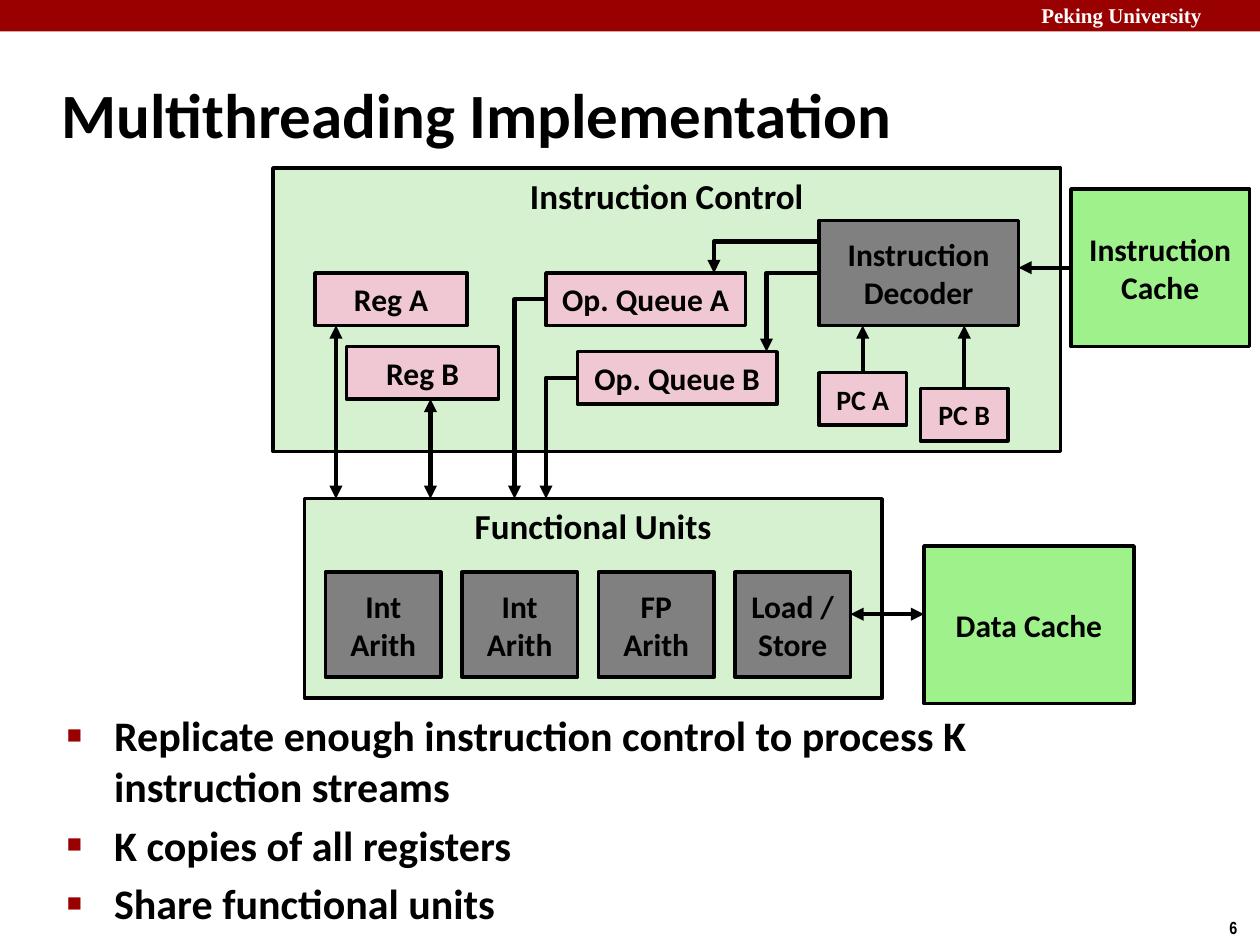
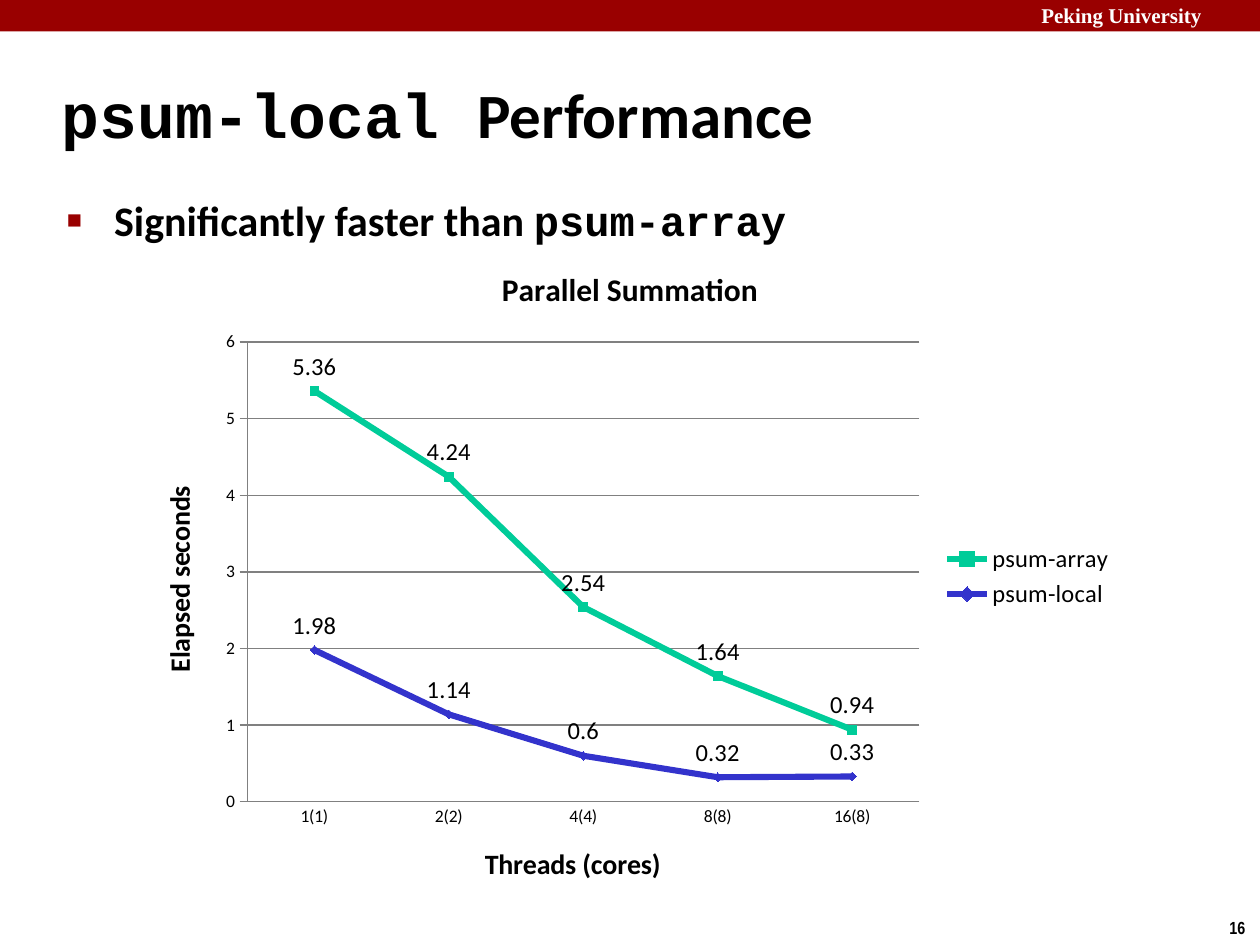
"""Build two slides on multithreading and on the speed of parallel sums."""
from lxml import etree
from pptx import Presentation
from pptx.chart.data import CategoryChartData
from pptx.dml.color import RGBColor
from pptx.enum.chart import (XL_CHART_TYPE, XL_LABEL_POSITION, XL_LEGEND_POSITION,
                             XL_MARKER_STYLE, XL_TICK_MARK)
from pptx.enum.shapes import MSO_CONNECTOR, MSO_SHAPE
from pptx.enum.text import MSO_ANCHOR, MSO_AUTO_SIZE, PP_ALIGN
from pptx.oxml.ns import qn
from pptx.util import Pt

RECT = MSO_SHAPE.RECTANGLE
STRAIGHT, ELBOW = MSO_CONNECTOR.STRAIGHT, MSO_CONNECTOR.ELBOW
LEFT, CENTER = PP_ALIGN.LEFT, PP_ALIGN.CENTER
TOP, MIDDLE = MSO_ANCHOR.TOP, MSO_ANCHOR.MIDDLE
NO_FIT = MSO_AUTO_SIZE.NONE
LINES = XL_CHART_TYPE.LINE_MARKERS
ABOVE = XL_LABEL_POSITION.ABOVE
RIGHT = XL_LEGEND_POSITION.RIGHT
SQUARE, DIAMOND = XL_MARKER_STYLE.SQUARE, XL_MARKER_STYLE.DIAMOND
NO_TICK, OUT_TICK = XL_TICK_MARK.NONE, XL_TICK_MARK.OUTSIDE

BLACK = RGBColor(0x00, 0x00, 0x00)
WHITE = RGBColor(0xFF, 0xFF, 0xFF)
RED = RGBColor(0x99, 0x00, 0x00)
PALE = RGBColor(0xD5, 0xF1, 0xCF)
GREEN = RGBColor(0x9E, 0xF1, 0x8B)
PINK = RGBColor(0xF0, 0xC8, 0xD3)
GRAY = RGBColor(0x80, 0x80, 0x80)
TEAL = RGBColor(0x00, 0xCC, 0x99)
BLUE = RGBColor(0x33, 0x33, 0xCC)

SANS, CODE = "Calibri", "Courier New"
SERIF, NARROW = "Times New Roman", "Arial Narrow"


def place(shape, left, top, width, height):
    """Move and size a shape, in points."""
    shape.left, shape.top = Pt(left), Pt(top)
    shape.width, shape.height = Pt(width), Pt(height)


def style(font, size, name=SANS, color=BLACK, bold=True):
    """Set the look of a font."""
    font.name, font.size, font.bold = name, Pt(size), bold
    font.color.rgb = color


def write(para, runs, size, color=BLACK):
    """Add (text, font name) runs to a paragraph."""
    for text, name in runs:
        run = para.add_run()
        run.text = text
        style(run.font, size, name, color)


def label(slide, text, spot, size, name, color):
    """Add a one-line text box."""
    box = slide.shapes.add_textbox(*map(Pt, spot))
    box.text_frame.word_wrap = True
    write(box.text_frame.paragraphs[0], [(text, name)], size, color)


def bullet(para):
    """Give a paragraph a hanging red square."""
    props = para._p.get_or_add_pPr()
    props.set("marL", str(Pt(27)))
    props.set("indent", str(-Pt(27)))
    color = etree.SubElement(props, qn("a:buClr"))
    etree.SubElement(color, qn("a:srgbClr"), val=str(RED))
    etree.SubElement(props, qn("a:buSzPct"), val="60000")
    etree.SubElement(props, qn("a:buChar"), char="■")


def page(deck, number, title, points, top, height):
    """Add a slide with band, title, list and page number."""
    slide = deck.slides.add_slide(deck.slide_layouts[1])
    band = slide.shapes.add_shape(RECT, 0, 0, deck.slide_width, Pt(18))
    band.shadow.inherit = False
    band.fill.solid()
    band.fill.fore_color.rgb = RED
    band.line.fill.background()
    label(slide, "Peking University", (588, -2, 132, 22), 12, SERIF, WHITE)
    label(slide, str(number), (695.5, 520.5, 24.5, 19.5), 10, NARROW, BLACK)

    head, body = slide.placeholders
    place(head, 28, 34.5, 650, 60)
    place(body, 31, top, 623, height)
    for holder, anchor in ((head, MIDDLE), (body, TOP)):
        holder.text_frame.auto_size = NO_FIT
        holder.text_frame.vertical_anchor = anchor
    para = head.text_frame.paragraphs[0]
    para.alignment = LEFT
    write(para, title, 36)
    for i, runs in enumerate(points):
        para = body.text_frame.add_paragraph() if i else body.text_frame.paragraphs[0]
        bullet(para)
        para.space_before = Pt(4.8 if i else 0)
        write(para, runs, 24)
    return slide


def block(slide, text, spot, fill, size=18, anchor=MIDDLE):
    """Add an outlined box with centred text."""
    box = slide.shapes.add_shape(RECT, *map(Pt, spot))
    box.shadow.inherit = False
    box.fill.solid()
    box.fill.fore_color.rgb = fill
    box.line.color.rgb = BLACK
    box.line.width = Pt(2)
    frame = box.text_frame
    frame.word_wrap = True
    frame.vertical_anchor = anchor
    for i, line in enumerate(text.split("\n")):
        para = frame.add_paragraph() if i else frame.paragraphs[0]
        para.alignment = CENTER
        write(para, [(line, SANS)], size)
    return box


def arrow(slide, kind, ends, head=False, tail=False):
    """Add a black connector with arrowheads at start and end."""
    link = slide.shapes.add_connector(kind, *map(Pt, ends))
    link.line.color.rgb = BLACK
    link.line.width = Pt(2.5)
    line = link.line._get_or_add_ln()
    for tag, on in (("a:headEnd", head), ("a:tailEnd", tail)):
        if on:
            etree.SubElement(line, qn(tag), type="triangle")
    etree.SubElement(link._element.spPr, qn("a:effectLst"))
    return link


def bend(slide, x, y, left, low):
    """Add an arrow that runs left from (x, y), then down."""
    link = arrow(slide, ELBOW, (left, y, x, low), tail=True)
    props = link._element.spPr
    props.find(qn("a:prstGeom")).set("prst", "bentConnector2")
    frame = props.find(qn("a:xfrm"))
    frame.set("rot", "10800000")
    frame.set("flipV", "1")


def diagram(slide):
    """Draw the processor with two instruction streams."""
    floor = 285
    block(slide, "Functional Units", (174, floor, 330, 114), PALE, 20, TOP)
    units = ("Int\nArith", "Int\nArith", "FP\nArith", "Load /\nStore")
    for i, unit in enumerate(units):
        block(slide, unit, (186 + 78 * i, 327, 66, 60), GRAY)
    block(slide, "Instruction Control", (156, 96, 450, 162), PALE, 20, TOP)
    block(slide, "Instruction Decoder", (468, 126, 114, 60), GRAY)
    block(slide, "Data Cache", (528, 312, 120, 90), GREEN)
    cache = block(slide, "Instruction\nCache", (612, 108, 102, 90), GREEN)

    for name, left, top, x in (("A", 180, 156, 192), ("B", 198, 198, 246)):
        block(slide, f"Reg {name}", (left, top, 87, 30), PINK)
        arrow(slide, STRAIGHT, (x, top + 30, x, floor), head=True, tail=True)
    for name, left, top, exit_y, drop in (("A", 312, 156, 138, 408),
                                          ("B", 330, 201, 156, 438)):
        block(slide, f"Op. Queue {name}", (left, top, 114, 30), PINK)
        bend(slide, left, top + 15, left - 18, floor)
        bend(slide, 468, exit_y, drop, top)
    for name, left, top in (("A", 468, 213), ("B", 526, 222)):
        box = block(slide, f"PC {name}", (left, top, 50, 30), PINK, 16)
        link = arrow(slide, STRAIGHT, (left + 25, 186, left + 25, top), head=True)
        link.end_connect(box, 0)
    arrow(slide, STRAIGHT, (528, 351, 486, 351), head=True, tail=True)
    link = arrow(slide, STRAIGHT, (582, 153, 612, 153), head=True)
    link.end_connect(cache, 1)


def caption(owner, text, size):
    """Write the title of a chart or an axis."""
    write(owner.text_frame.paragraphs[0], [(text, SANS)], size)


def graph(slide):
    """Add the line chart of elapsed seconds."""
    data = CategoryChartData()
    data.categories = ("1(1)", "2(2)", "4(4)", "8(8)", "16(8)")
    data.add_series("psum-array", (5.36, 4.24, 2.54, 1.64, 0.94))
    data.add_series("psum-local", (1.98, 1.14, 0.6, 0.32, 0.33))
    spot = map(Pt, (76, 138, 568, 383))
    chart = slide.shapes.add_chart(LINES, *spot, data).chart
    style(chart.font, 10, bold=False)
    chart.has_title = True
    caption(chart.chart_title, "Parallel Summation", 18)
    chart.has_legend = True
    chart.legend.position = RIGHT
    chart.legend.include_in_layout = False
    style(chart.legend.font, 14, bold=False)

    for axis, text, tick in ((chart.category_axis, "Threads (cores)", NO_TICK),
                             (chart.value_axis, "Elapsed seconds", OUT_TICK)):
        caption(axis.axis_title, text, 16)
        axis.major_tick_mark, axis.minor_tick_mark = tick, NO_TICK
        axis.format.line.color.rgb = GRAY
    scale = chart.value_axis
    scale.minimum_scale, scale.maximum_scale, scale.major_unit = 0, 6, 1
    scale.has_major_gridlines = True
    scale.major_gridlines.format.line.color.rgb = GRAY

    plot = chart.plots[0]
    plot.vary_by_categories = False
    for series, color, mark in zip(plot.series, (TEAL, BLUE), (SQUARE, DIAMOND)):
        series.smooth = False
        series.format.line.color.rgb = color
        series.format.line.width = Pt(3.5)
        series.marker.style, series.marker.size = mark, 5
        series.marker.format.fill.solid()
        series.marker.format.fill.fore_color.rgb = color
        series.marker.format.line.color.rgb = color
        labels = series.data_labels
        labels.show_value = True
        labels.position = ABOVE
        style(labels.font, 14, bold=False)


def main():
    """Build and save the deck."""
    deck = Presentation()
    deck.slide_width, deck.slide_height = Pt(720), Pt(540)
    points = ("Replicate enough instruction control to process K instruction streams",
              "K copies of all registers", "Share functional units")
    diagram(page(deck, 6, [("Multithreading Implementation", SANS)],
                 [[(point, SANS)] for point in points], 402, 132))
    graph(page(deck, 16, [("psum-local ", CODE), ("Performance", SANS)],
               [[("Significantly faster than ", SANS), ("psum-array", CODE)]], 107.5, 42.5))
    deck.save("out.pptx")


if __name__ == "__main__":
    main()
